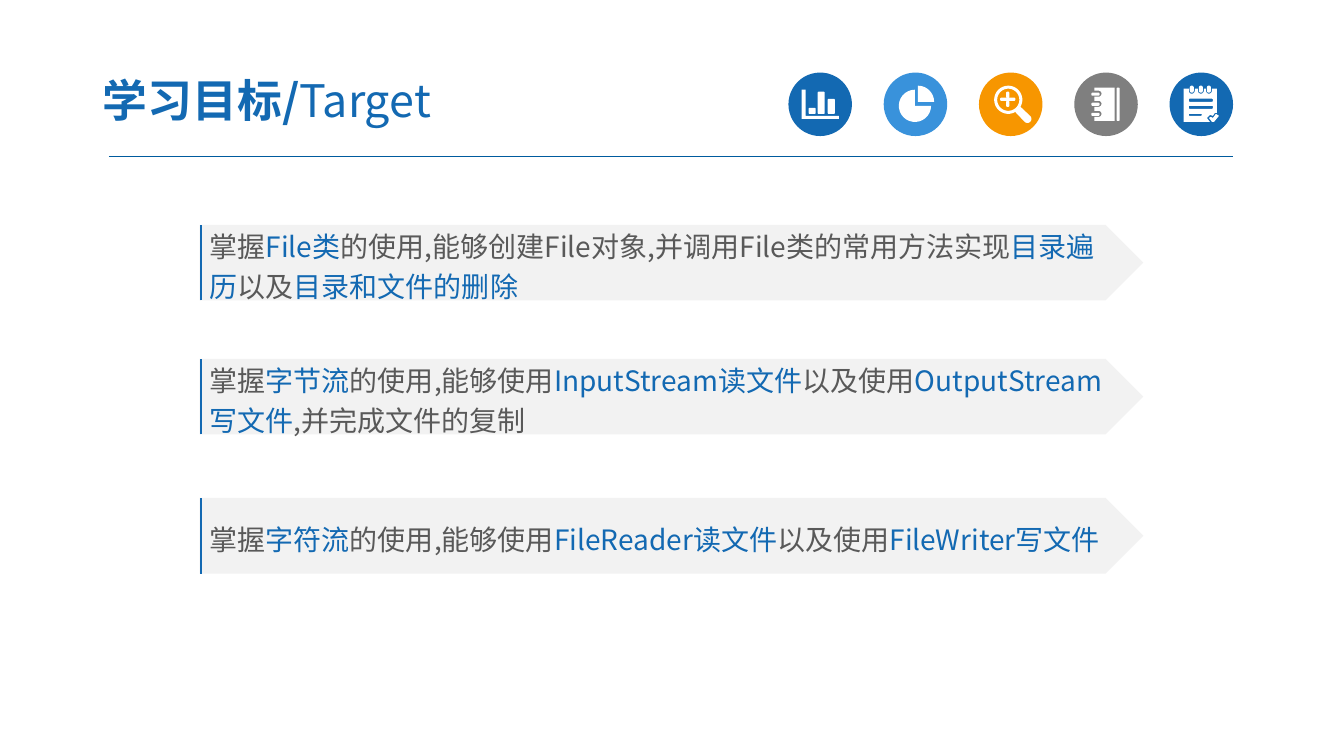
import math
import lxml.etree
import pptx
import pptx.dml.color
import pptx.enum.shapes
import pptx.enum.text
import pptx.oxml.ns
import pptx.util

PX = 9144
THEME = {
    "font": "Noto Sans CJK SC", "head": 32, "body": 20,
    "blue": "1369B2", "sky": "3992DB", "gold": "F79600", "gray": "7F7F7F",
    "rule": "005B9E", "pale": "F2F2F2", "ink": "595959", "white": "FFFFFF",
}
KIND = pptx.enum.shapes.MSO_SHAPE
LEFT = pptx.enum.text.PP_ALIGN.LEFT
FRAME = {
    "word_wrap": True,
    "auto_size": pptx.enum.text.MSO_AUTO_SIZE.NONE,
    "vertical_anchor": pptx.enum.text.MSO_ANCHOR.MIDDLE,
}
GOALS = [
    (223, [("掌握", "ink"), ("File类", "blue"),
           ("的使用,能够创建File对象,并调用File类的常用方法实现", "ink"),
           ("目录遍历", "blue"), ("以及", "ink"), ("目录和文件的删除", "blue")]),
    (356, [("掌握", "ink"), ("字节流", "blue"), ("的使用,能够使用", "ink"),
           ("InputStream读文件", "blue"), ("以及使用", "ink"),
           ("OutputStream写文件", "blue"), (",并完成文件的复制", "ink")]),
    (494, [("掌握", "ink"), ("字符流", "blue"), ("的使用,能够使用", "ink"),
           ("FileReader读文件", "blue"), ("以及使用", "ink"),
           ("FileWriter写文件", "blue")]),
]


def px(*nums):
    """Turn pixels into EMU."""
    return [round(num * PX) for num in nums]


def tint(key):
    """Give a theme colour."""
    return pptx.dml.color.RGBColor.from_string(THEME[key])


def put(item, vals):
    """Set each named value on an item."""
    for name, val in vals.items():
        setattr(item, name, val)


def paint(shape, key):
    """Fill a shape flat, with no line or shadow."""
    shape.shadow.inherit = False
    shape.fill.solid()
    shape.fill.fore_color.rgb = tint(key)
    shape.line.fill.background()


def write(para, text, key, size, bold=False):
    """Add one run of text in the theme font."""
    run = para.add_run()
    run.text = text
    put(run.font, {"size": pptx.util.Pt(THEME[size]), "bold": bold, "name": THEME["font"]})
    run.font.color.rgb = tint(key)
    east = lxml.etree.SubElement(run.font._element, pptx.oxml.ns.qn("a:ea"))
    east.set("typeface", THEME["font"])


def rule(slide, ends, key, width):
    """Draw a straight line between two points."""
    line = slide.shapes.add_connector(pptx.enum.shapes.MSO_CONNECTOR.STRAIGHT, *px(*ends))
    line.line.color.rgb = tint(key)
    line.line.width = pptx.util.Pt(width)
    lxml.etree.SubElement(line._element.spPr, pptx.oxml.ns.qn("a:effectLst"))


def arc(mid_x, mid_y, rad, start, end):
    """List points along an arc, clockwise in degrees."""
    steps = max(4, round(abs(end - start) / 12))
    turns = [math.radians(start + (end - start) * i / steps) for i in range(steps + 1)]
    return [(mid_x + rad * math.cos(t), mid_y + rad * math.sin(t)) for t in turns]


def bar(left, top, wide, high, rad=1):
    """List the points of a rounded bar."""
    near, far = left + rad, left + wide - rad
    head, foot = top + rad, top + high - rad
    spots = [(near, head, 180), (far, head, 270), (far, foot, 0), (near, foot, 90)]
    return [dot for x, y, turn in spots for dot in arc(x, y, rad, turn, turn + 90)]


def chart():
    """Outline the bar chart."""
    axes = [(13, 17), (17, 17), (17, 43), (50, 43), (50, 46), (13, 46)]
    return [axes, bar(20, 35, 7, 6), bar(29, 19, 7, 22), bar(39, 26, 7, 15)]


def pie():
    """Outline the pie and its loose slice."""
    return [[(31, 33)] + arc(31, 33, 16, 0, 270), [(34, 29)] + arc(34, 29, 16, 270, 360)]


def lens():
    """Outline the magnifier."""
    rim = arc(29, 27, 14, 60, 390) + arc(48, 46, 4, -45, 135)
    plus = [bar(21, 25, 15, 3), bar(27, 19, 3, 6), bar(27, 28, 3, 6)]
    return [rim, arc(29, 27, 11, 0, 360)] + plus


def book():
    """Outline the ring notebook."""
    rings = (21, 31, 41)
    edge = [(40, 15), (20, 15)]
    for y in rings:
        edge += [(20, y - 3)] + arc(24, y, 3, -90, 90) + [(20, y + 3)]
    edge += [(20, 48), (40, 48)]
    return [edge, bar(42, 15, 3, 33)] + [bar(17, y - 1, 8, 3) for y in rings]


def note():
    """Outline the checklist."""
    rings = (22, 31, 39)
    edge = [(14, 16)]
    for x in rings:
        edge += [(x - 3, 16)] + arc(x, 18, 3, 180, 0) + [(x + 3, 16)]
    edge += [(47, 16), (47, 40), (45, 40), (43, 43), (40, 42), (37, 45), (40, 49), (14, 49)]
    tick = [(39, 45), (41, 44), (43, 45), (46, 41), (49, 43), (44, 49), (42, 49)]
    lines = [bar(19, 26, 24, 3), bar(19, 33, 24, 3), bar(19, 41, 13, 2)]
    return [edge, tick] + lines + [bar(x - 2, 13, 4, 7, 2) for x in rings]


def badge(slide, left, top, size, key, loops):
    """Draw a round badge with a white sign."""
    disc = slide.shapes.add_shape(KIND.OVAL, *px(left, top, size, size))
    paint(disc, key)
    paths = [[px(left + x, top + y) for x, y in loop] for loop in loops]
    form = slide.shapes.build_freeform(*paths[0][0])
    form.add_line_segments(paths[0][1:])
    for dots in paths[1:]:
        form.move_to(*dots[0])
        form.add_line_segments(dots[1:])
    paint(form.convert_to_shape(), "white")


def header(slide, left, top, wide, high):
    """Place the title, the rule and the badges."""
    title = slide.shapes.title
    put(title, dict(zip(("left", "top", "width", "height"), px(left, top, 522, high))))
    frame = title.text_frame
    put(frame, FRAME)
    sides, ends = px(13, 7)
    put(frame, {"margin_left": sides, "margin_right": sides,
                "margin_top": ends, "margin_bottom": ends})
    para = frame.paragraphs[0]
    para.alignment = LEFT
    write(para, "学习目标/", "blue", "head", True)
    write(para, "Target", "blue", "head")
    rule(slide, (left + 19, top + 92, left + wide, top + 92), "rule", 0.75)
    signs = [("blue", chart), ("sky", pie), ("gold", lens), ("gray", book), ("blue", note)]
    size, pitch = 63, 94.5
    first = left + wide - size - pitch * (len(signs) - 1)
    for i, (key, draw) in enumerate(signs):
        badge(slide, first + i * pitch, top + 9, size, key, draw())


def goal(slide, left, top, wide, high, parts):
    """Place one goal arrow with its edge line."""
    plate = slide.shapes.add_shape(KIND.PENTAGON, *px(left, top, wide, high))
    paint(plate, "pale")
    put(plate.text_frame, FRAME)
    para = plate.text_frame.paragraphs[0]
    put(para, {"alignment": LEFT, "line_spacing": 1.2})
    for text, key in parts:
        write(para, text, key, "body")
    rule(slide, (left + 1, top + high, left + 1, top), "blue", 1.5)


def main():
    """Build and save the slide."""
    deck = pptx.Presentation()
    put(deck, dict(zip(("slide_width", "slide_height"), px(1333, 750))))
    slide = deck.slides.add_slide(deck.slide_layouts[5])
    header(slide, 89, 63, 1134, 72)
    for top, parts in GOALS:
        goal(slide, 198, top, 936, 75, parts)
    deck.save("out.pptx")


if __name__ == "__main__":
    main()
